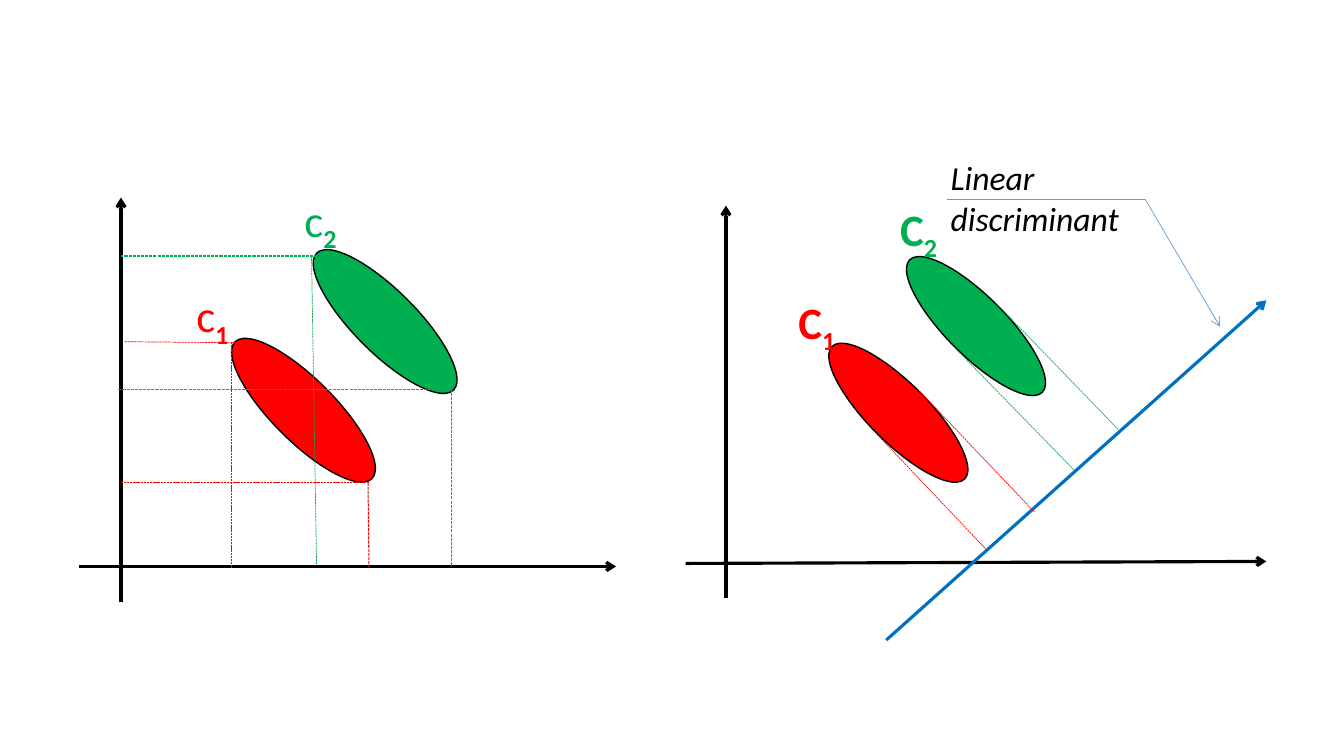
import pptx
import pptx.dml.color
import pptx.enum.dml
import pptx.enum.shapes
import pptx.enum.text
import pptx.oxml.ns
import pptx.util
from dataclasses import dataclass
from lxml import etree

Inches = pptx.util.Inches


@dataclass(frozen=True)
class Theme:
    """Colours, font, type sizes and line widths of the slide."""
    font: str = "Calibri"
    black: str = "000000"
    red: str = "FF0000"
    green: str = "00B050"
    blue: str = "0070C0"
    light_blue: str = "5B9BD5"
    label_size: float = 32
    note_size: float = 24
    axis_width: float = 2.25
    outline_width: float = 1
    guide_width: float = 0.75
    thin_width: float = 0.5


class Diagram:
    """Draws grouped elements on the current slide in one theme."""

    def __init__(self, slide, theme):
        """Keep the slide and its theme."""
        self.slide = slide
        self.theme = theme
        self.shapes = slide.shapes

    def start_group(self):
        """Collect the following elements in a new group."""
        self.shapes = self.slide.shapes.add_group_shape().shapes

    def line(self, start, end, color, width, dashed=False, arrow=False):
        """Draw a straight line between two points."""
        points = [Inches(value) for value in (*start, *end)]
        connector = self.shapes.add_connector(
            pptx.enum.shapes.MSO_CONNECTOR.STRAIGHT, *points)
        connector.line.color.rgb = pptx.dml.color.RGBColor.from_string(color)
        connector.line.width = pptx.util.Pt(width)
        if dashed:
            connector.line.dash_style = pptx.enum.dml.MSO_LINE.SQUARE_DOT
        if arrow:
            outline = connector.line._get_or_add_ln()
            etree.SubElement(outline, pptx.oxml.ns.qn("a:tailEnd"), type="arrow")
        properties = connector._element.spPr
        etree.SubElement(properties, pptx.oxml.ns.qn("a:effectLst"))

    def axis(self, start, end, color):
        """Draw a heavy arrow."""
        self.line(start, end, color, self.theme.axis_width, arrow=True)

    def guide(self, start, end, color, width):
        """Draw a dashed projection line."""
        self.line(start, end, color, width, dashed=True)

    def cluster(self, left, top, width, height, color):
        """Draw a class as an ellipse turned by 45 degrees."""
        shape = self.shapes.add_shape(
            pptx.enum.shapes.MSO_SHAPE.OVAL,
            Inches(left), Inches(top), Inches(width), Inches(height))
        shape.rotation = 45
        shape.shadow.inherit = False
        shape.fill.solid()
        shape.fill.fore_color.rgb = pptx.dml.color.RGBColor.from_string(color)
        shape.line.color.rgb = pptx.dml.color.RGBColor.from_string(self.theme.black)
        shape.line.width = pptx.util.Pt(self.theme.outline_width)

    def text_box(self, left, top, width, height):
        """Add a wrapping text box and return its paragraph."""
        shape = self.shapes.add_textbox(
            Inches(left), Inches(top), Inches(width), Inches(height))
        shape.text_frame.word_wrap = True
        shape.text_frame.auto_size = pptx.enum.text.MSO_AUTO_SIZE.SHAPE_TO_FIT_TEXT
        return shape.text_frame.paragraphs[0]

    def label(self, left, top, width, letter, index, color, bold):
        """Write a class name with a bold subscript."""
        paragraph = self.text_box(left, top, width, 0.64)
        size = self.theme.label_size
        add_run(paragraph, letter, font=self.theme.font, size=size, color=color, bold=bold)
        add_run(paragraph, index, font=self.theme.font, size=size, color=color,
                bold=True, subscript=True)

    def note(self, left, top, width, height, text):
        """Write an italic remark."""
        paragraph = self.text_box(left, top, width, height)
        add_run(paragraph, text, font=self.theme.font, size=self.theme.note_size,
                color=self.theme.black, italic=True)


def add_run(paragraph, text, font, size, color, bold=False, italic=False, subscript=False):
    """Add formatted text to a paragraph."""
    run = paragraph.add_run()
    run.text = text
    run.font.name = font
    run.font.size = pptx.util.Pt(size)
    run.font.bold = bold
    run.font.italic = italic
    run.font.color.rgb = pptx.dml.color.RGBColor.from_string(color)
    if subscript:
        run.font._element.set("baseline", "-25000")


def draw_axis_projection(diagram):
    """Draw the classes projected on the two coordinate axes."""
    theme = diagram.theme
    diagram.start_group()
    diagram.axis((0.78, 5.62), (6.11, 5.62), theme.black)
    diagram.axis((1.2, 5.97), (1.2, 1.96), theme.black)
    diagram.cluster(2.05, 3.76, 1.92, 0.62, theme.red)
    diagram.cluster(2.86, 2.88, 1.92, 0.62, theme.green)
    for start, end, color, width in (
        ((3.19, 2.54), (1.2, 2.54), theme.green, theme.guide_width),
        ((3.09, 2.54), (3.14, 5.61), theme.green, theme.thin_width),
        ((4.48, 3.86), (1.17, 3.86), theme.green, theme.guide_width),
        ((4.48, 3.86), (4.48, 5.62), theme.green, theme.guide_width),
        ((2.34, 3.4), (1.23, 3.39), theme.red, theme.thin_width),
        ((2.29, 3.39), (2.29, 5.63), theme.red, theme.thin_width),
        ((3.66, 4.79), (1.2, 4.79), theme.red, theme.thin_width),
        ((3.65, 4.79), (3.66, 5.63), theme.red, theme.guide_width),
    ):
        diagram.guide(start, end, color, width)
    diagram.label(1.85, 2.81, 0.69, "c", "1", theme.red, bold=False)
    diagram.label(2.92, 1.86, 0.92, "c", "2", theme.green, bold=False)


def draw_discriminant_projection(diagram):
    """Draw the classes projected on the linear discriminant."""
    theme = diagram.theme
    diagram.start_group()
    diagram.axis((6.8, 5.59), (12.56, 5.57), theme.black)
    diagram.axis((7.2, 5.93), (7.2, 2.04), theme.black)
    diagram.cluster(7.98, 3.8, 1.86, 0.59, theme.red)
    diagram.cluster(8.75, 2.94, 1.86, 0.59, theme.green)
    diagram.label(7.82, 2.87, 0.65, "C", "1", theme.red, bold=True)
    diagram.label(8.83, 1.95, 0.87, "C", "2", theme.green, bold=True)
    diagram.axis((8.79, 6.35), (12.56, 2.98), theme.blue)
    for start, end, color in (
        ((8.7, 4.31), (9.79, 5.46), theme.red),
        ((9.12, 3.88), (10.26, 5.08), theme.red),
        ((9.47, 3.45), (10.65, 4.66), theme.green),
        ((9.89, 3.02), (11.11, 4.28), theme.green),
    ):
        diagram.guide(start, end, color, theme.thin_width)
    corner = (11.36, 1.98)
    diagram.line(corner, (12.1, 3.24), theme.light_blue, theme.thin_width, arrow=True)
    diagram.line(corner, (9.39, 1.98), theme.light_blue, theme.thin_width)
    diagram.note(9.33, 1.51, 2.7, 0.9, "Linear discriminant")


def main():
    """Build and save the slide."""
    presentation = pptx.Presentation()
    presentation.slide_width = Inches(13.33)
    presentation.slide_height = Inches(7.5)
    slide = presentation.slides.add_slide(presentation.slide_layouts[6])
    diagram = Diagram(slide, Theme())
    draw_axis_projection(diagram)
    draw_discriminant_projection(diagram)
    presentation.save("out.pptx")


if __name__ == "__main__":
    main()
